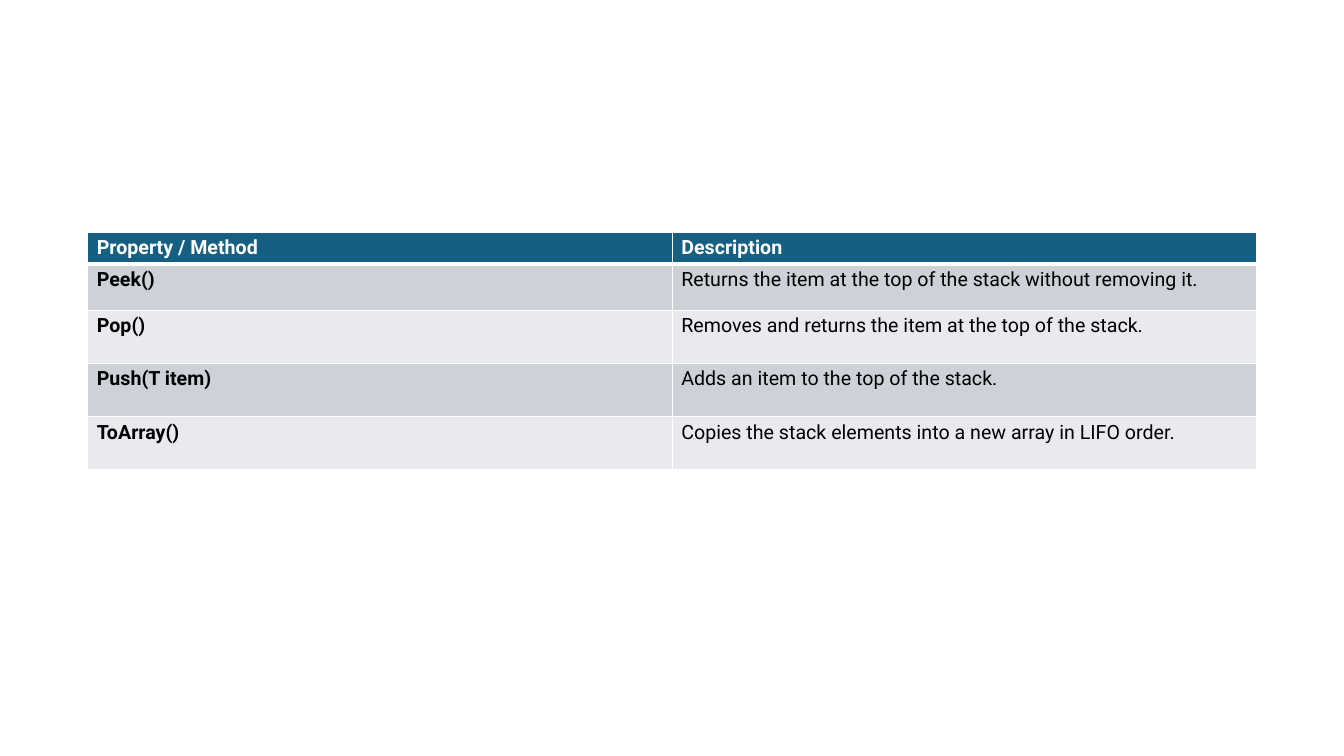
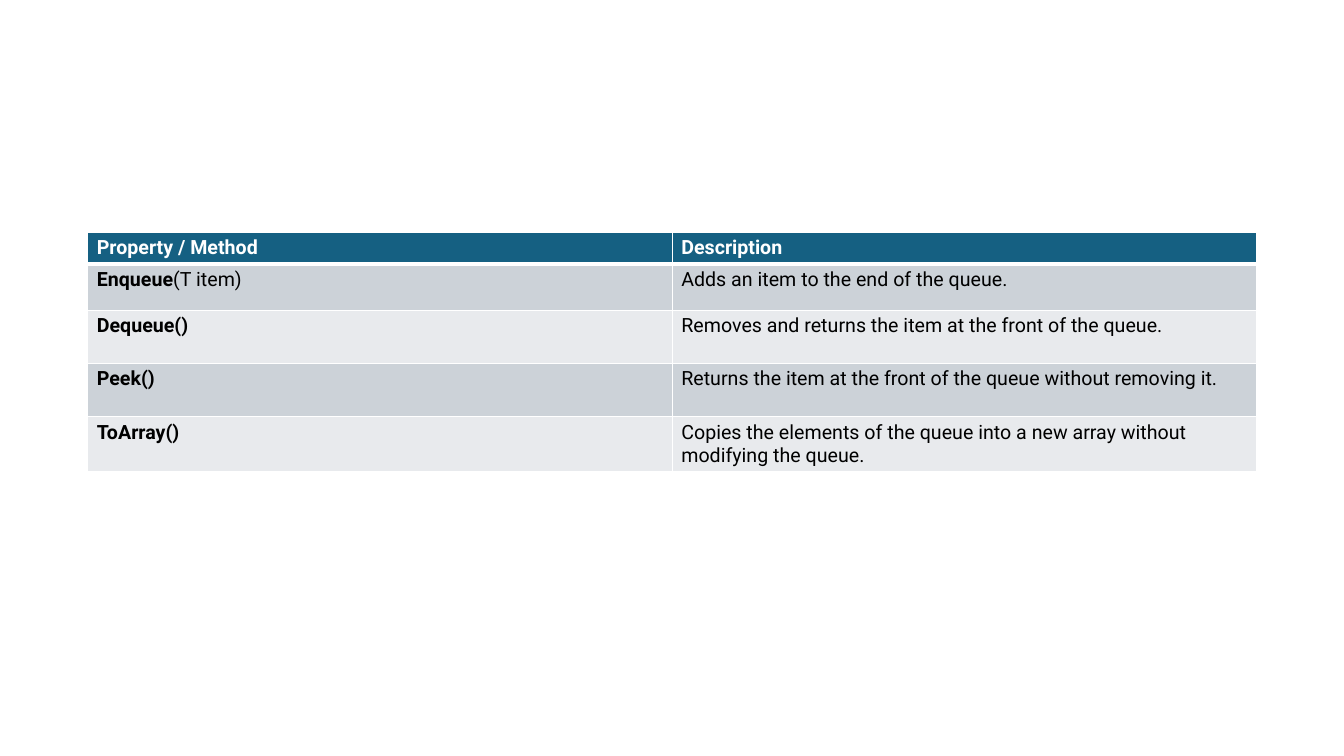
from dataclasses import dataclass

from lxml.etree import SubElement
from pptx import Presentation
from pptx.dml.color import RGBColor
from pptx.oxml.ns import qn
from pptx.util import Cm, Pt


@dataclass(frozen=True)
class Theme:
    """Colours, type and table measures shared by the slides."""
    font: str = "Roboto"
    size: int = 14
    header: str = "156082"
    bands: tuple = ("CCD2D8", "E8EAED")
    light: str = "FFFFFF"
    dark: str = "000000"
    rule: float = 1
    header_rule: float = 3
    left: float = 2.21
    top: float = 5.85
    col_width: float = 14.73
    row_heights: tuple = (0.8, 1.16, 1.34, 1.34, 1.34)
    margin_x: float = 0.23
    margin_y: float = 0.11


THEME = Theme()
HEADINGS = ("Property / Method", "Description")

# A method is its bold part, optionally followed by a regular part.
STACK = (
    (("Peek()",), "Returns the item at the top of the stack without removing it."),
    (("Pop()",), "Removes and returns the item at the top of the stack."),
    (("Push(T item)",), "Adds an item to the top of the stack."),
    (("ToArray()",), "Copies the stack elements into a new array in LIFO order."),
)
QUEUE = (
    (("Enqueue", "(T item)"), "Adds an item to the end of the queue."),
    (("Dequeue()",), "Removes and returns the item at the front of the queue."),
    (("Peek()",), "Returns the item at the front of the queue without removing it."),
    (("ToArray()",), "Copies the elements of the queue into a new array "
                     "without modifying the queue."),
)


def set_borders(cell, top, bottom):
    """Draw the cell borders; top and bottom widths are in points."""
    tc_pr = cell._tc.get_or_add_tcPr()
    widths = {"lnL": THEME.rule, "lnR": THEME.rule, "lnT": top, "lnB": bottom}
    for i, (side, width) in enumerate(widths.items()):
        ln = SubElement(tc_pr, qn(f"a:{side}"), w=str(Pt(width)))
        fill = SubElement(ln, qn("a:solidFill"))
        SubElement(fill, qn("a:srgbClr"), val=THEME.light)
        tc_pr.insert(i, ln)  # borders come before the fill


def fill_cell(cell, parts, fill, color, bold):
    """Write the text parts into a cell; parts after the first are regular."""
    cell.fill.solid()
    cell.fill.fore_color.rgb = RGBColor.from_string(fill)
    cell.margin_left = cell.margin_right = Cm(THEME.margin_x)
    cell.margin_top = cell.margin_bottom = Cm(THEME.margin_y)
    p = cell.text_frame.paragraphs[0]
    p.font.name = THEME.font
    p.font.size = Pt(THEME.size)
    p.font.color.rgb = RGBColor.from_string(color)
    if len(parts) == 1:
        p.font.bold = bold
    for i, text in enumerate(parts):
        r = p.add_run()
        r.text = text
        if len(parts) > 1:
            r.font.bold = bold and i == 0


def add_method_table(s, methods):
    """Add a banded table of methods and their descriptions."""
    heights = [Cm(h) for h in THEME.row_heights]
    table = s.shapes.add_table(
        len(heights), len(HEADINGS), Cm(THEME.left), Cm(THEME.top),
        Cm(THEME.col_width * len(HEADINGS)), sum(heights)).table
    table.horz_banding = False
    for row, height in zip(table.rows, heights):
        row.height = height
    for col, heading in enumerate(HEADINGS):
        cell = table.cell(0, col)
        fill_cell(cell, (heading,), THEME.header, THEME.light, True)
        set_borders(cell, THEME.rule, THEME.header_rule)
    for row, (method, description) in enumerate(methods, start=1):
        band = THEME.bands[(row - 1) % len(THEME.bands)]
        top = THEME.header_rule if row == 1 else THEME.rule
        for col, parts in enumerate((method, (description,))):
            cell = table.cell(row, col)
            fill_cell(cell, parts, band, THEME.dark, col == 0)
            set_borders(cell, top, THEME.rule)


def main():
    """Build one slide for each collection."""
    prs = Presentation()
    prs.slide_width, prs.slide_height = Cm(33.87), Cm(19.05)
    for methods in (STACK, QUEUE):
        s = prs.slides.add_slide(prs.slide_layouts[6])
        add_method_table(s, methods)
    prs.save("out.pptx")


main()
